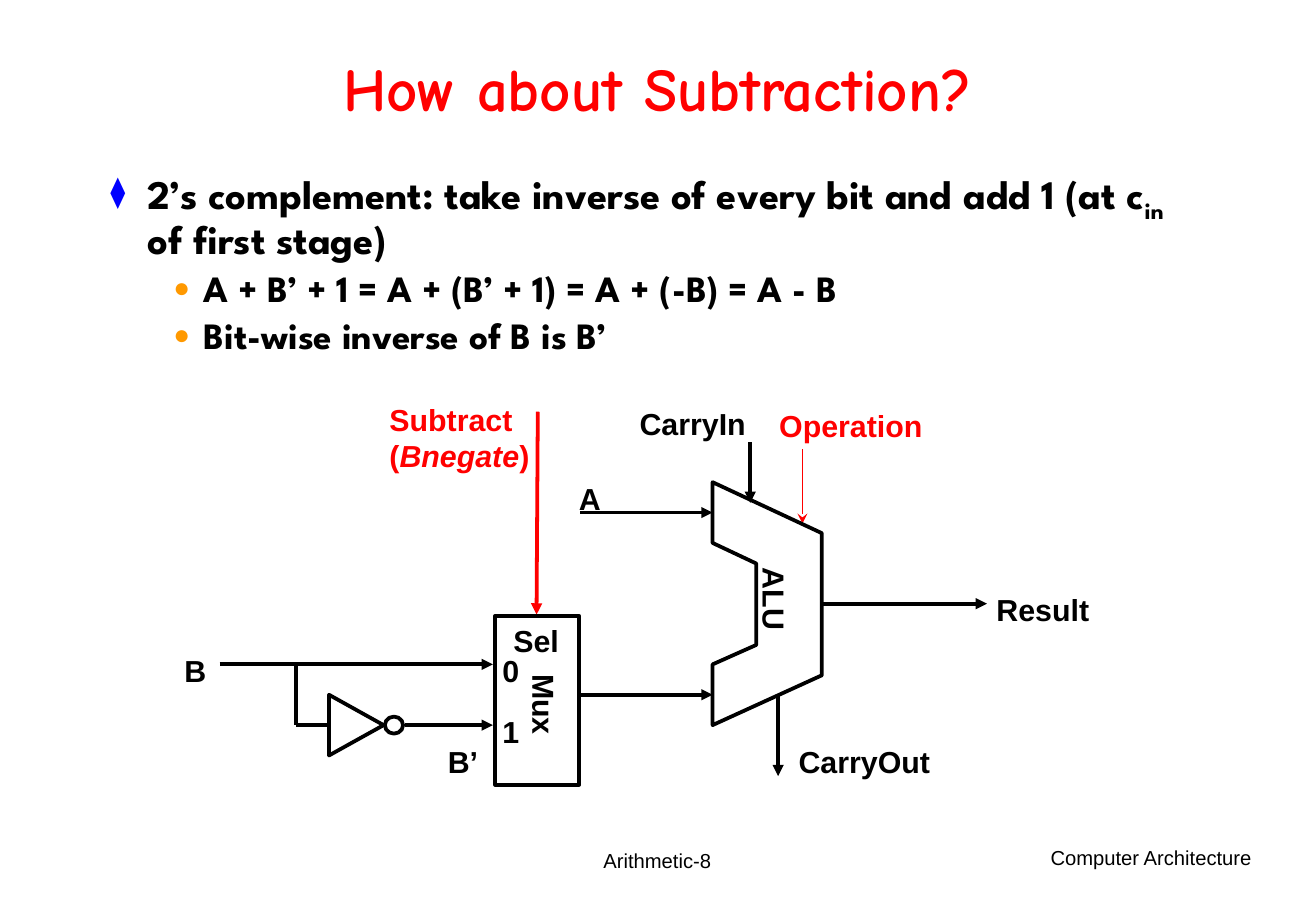
"""Build the slide on subtraction with an ALU and an input mux."""
import pptx
import pptx.util
import pptx.dml.color
import pptx.enum.shapes
import pptx.enum.text
import lxml.etree

Inches, Pt = pptx.util.Inches, pptx.util.Pt
RGB = pptx.dml.color.RGBColor
ALIGN = pptx.enum.text.PP_ALIGN
ANCHOR = pptx.enum.text.MSO_ANCHOR
SHAPE = pptx.enum.shapes.MSO_SHAPE
BLACK, RED = RGB(0, 0, 0), RGB(255, 0, 0)
BLUE, ORANGE = RGB(0, 0, 255), RGB(255, 153, 0)
NS = "http://schemas.openxmlformats.org/drawingml/2006/main"

TITLE = "How about Subtraction?"
BODY = [
    (0, [("2’s complement: take inverse of every bit and add 1 (at c", ""),
         ("in", "sub"), (" of first stage)", "")]),
    (1, [("A + B’ + 1 = A + (B’ + 1) = A + (-B) = A - B", "")]),
    (1, [("Bit-wise inverse of B is B’", "")]),
]
LEVELS = [("⧫", BLUE, 24, 0.31, -0.31, 0), ("●", ORANGE, 22, 0.77, -0.25, 4.1)]

LABELS = [
    ("A", 4.67, 3.9, 0.38, BLACK), ("B", 1.42, 5.32, 0.38, BLACK),
    ("B’", 3.59, 6.07, 0.45, BLACK), ("Result", 8.11, 4.82, 0.97, BLACK),
    ("CarryIn", 5.17, 3.29, 1.08, BLACK), ("CarryOut", 6.48, 6.07, 1.29, BLACK),
    ("0", 4.04, 5.32, 0.34, BLACK), ("1", 4.04, 5.82, 0.34, BLACK),
    ("Sel", 4.13, 5.07, 0.58, BLACK), ("Operation", 6.32, 3.3, 1.38, RED),
]
TURNED = [("ALU", 6.0, 4.73, 0.76), ("Mux", 4.1, 5.6, 0.77)]
SUBTRACT = [[("Subtract", "")], [("(", ""), ("Bnegate", "italic"), (")", "")]]
FOOTERS = [("Arithmetic-8", 3.7, 6.83, 3.43, ALIGN.CENTER, ANCHOR.MIDDLE),
           ("Computer Architecture", 8.12, 6.91, 2.29, ALIGN.RIGHT, ANCHOR.TOP)]

ALU = [(5.87, 3.97), (6.77, 4.39), (6.77, 5.56), (5.87, 5.97),
       (5.87, 5.47), (6.23, 5.31), (6.23, 4.64), (5.87, 4.47)]
INVERTER = [(2.71, 5.72), (3.16, 5.97), (2.71, 6.22)]
MUX = (4.08, 5.07, 0.69, 1.39)
BUBBLE = (3.17, 5.9, 0.15, 0.14)
WIRES = [
    (4.78, 4.22, 5.87, 4.22, BLACK, 2.25, "triangle"),
    (4.78, 5.72, 5.87, 5.72, BLACK, 2.25, "triangle"),
    (6.77, 4.97, 8.13, 4.97, BLACK, 2.25, "triangle"),
    (6.18, 3.64, 6.18, 4.14, BLACK, 2.25, "triangle"),
    (6.41, 5.72, 6.41, 6.39, BLACK, 2.25, "triangle"),
    (1.81, 5.47, 4.06, 5.47, BLACK, 2.25, "triangle"),
    (3.34, 5.97, 4.06, 5.97, BLACK, 2.25, "triangle"),
    (2.44, 5.47, 2.44, 5.97, BLACK, 2.25, None),
    (2.44, 5.97, 2.71, 5.97, BLACK, 2.25, None),
    (4.43, 3.39, 4.42, 5.06, RED, 2.25, "triangle"),
    (6.61, 3.7, 6.61, 4.31, RED, 1, "stealth"),
]

deck = pptx.Presentation()
deck.slide_width, deck.slide_height = Inches(10.84), Inches(7.5)
slide = deck.slides.add_slide(deck.slide_layouts[6])
shapes = slide.shapes


def add(parent, tag, **attrs):
    return lxml.etree.SubElement(parent, f"{{{NS}}}{tag}", **attrs)


def style(para, face, size, color, bold=True):
    font = para.font
    font.name, font.size, font.bold = face, Pt(size), bold
    font.color.rgb = color


def frame(x, y, w, h, wrap=False, anchor=ANCHOR.TOP):
    box = shapes.add_textbox(Inches(x), Inches(y), Inches(w), Inches(h))
    box.text_frame.word_wrap = wrap
    box.text_frame.vertical_anchor = anchor
    return box


def write(para, runs):
    for text, look in runs:
        run = para.add_run()
        run.text = text
        if look == "italic":
            run.font.italic = True
        elif look == "sub":
            run._r.get_or_add_rPr().set("baseline", "-25000")


def label(text, x, y, w, color=BLACK, turn=0):
    box = frame(x, y, w, 0.4)
    box.rotation = turn
    para = box.text_frame.paragraphs[0]
    para.text = text
    if turn:
        para.alignment = ALIGN.CENTER
    style(para, "Arial", 18, color)


def outline(shape):
    shape.shadow.inherit = False
    shape.fill.background()
    shape.line.color.rgb = BLACK
    shape.line.width = Pt(2.25)


def trace(points):
    spots = [(Inches(x), Inches(y)) for x, y in points]
    build = shapes.build_freeform(*spots[0])
    build.add_line_segments(spots[1:], close=True)
    outline(build.convert_to_shape())


def wire(x1, y1, x2, y2, color, width, tip):
    line = shapes.add_connector(pptx.enum.shapes.MSO_CONNECTOR.STRAIGHT,
                                Inches(x1), Inches(y1), Inches(x2), Inches(y2))
    line.line.color.rgb = color
    line.line.width = Pt(width)
    if tip:
        add(line.line._get_or_add_ln(), "tailEnd", type=tip)
    add(line._element.spPr, "effectLst")


def bullet(para, level):
    mark, color, size, left, hang, gap = LEVELS[level]
    para.level = level
    para.line_spacing, para.space_before = 0.9, Pt(gap)
    props = para._p.get_or_add_pPr()
    props.set("marL", str(Inches(left)))
    props.set("indent", str(Inches(hang)))
    add(add(props, "buClr"), "srgbClr", val=str(color))
    add(props, "buSzPct", val="75000")
    add(props, "buFont", typeface="Arial")
    add(props, "buChar", char=mark)
    style(para, "League Spartan", size, BLACK)


for text, x, y, w, align, anchor in FOOTERS:
    para = frame(x, y, w, 0.5, anchor=anchor).text_frame.paragraphs[0]
    para.text, para.alignment = text, align
    style(para, "Arial", 12, BLACK, False)

for item in WIRES:
    wire(*item)
for points in (ALU, INVERTER):
    trace(points)
for kind, place in ((SHAPE.RECTANGLE, MUX), (SHAPE.OVAL, BUBBLE)):
    outline(shapes.add_shape(kind, *map(Inches, place)))
for item in LABELS:
    label(*item)
for item in TURNED:
    label(*item, turn=90)

text = frame(3.11, 3.25, 1.35, 0.7).text_frame
for n, runs in enumerate(SUBTRACT):
    para = text.add_paragraph() if n else text.paragraphs[0]
    write(para, runs)
    style(para, "Arial", 18, RED)

para = frame(0.81, 0.27, 9.21, 0.99, True, ANCHOR.MIDDLE).text_frame.paragraphs[0]
para.text, para.alignment, para.line_spacing = TITLE, ALIGN.CENTER, 0.85
style(para, "Comic Neue", 36, RED)

text = frame(0.81, 1.35, 9.21, 1.7, True).text_frame
for n, (level, runs) in enumerate(BODY):
    para = text.add_paragraph() if n else text.paragraphs[0]
    write(para, runs)
    bullet(para, level)

deck.save("out.pptx")
